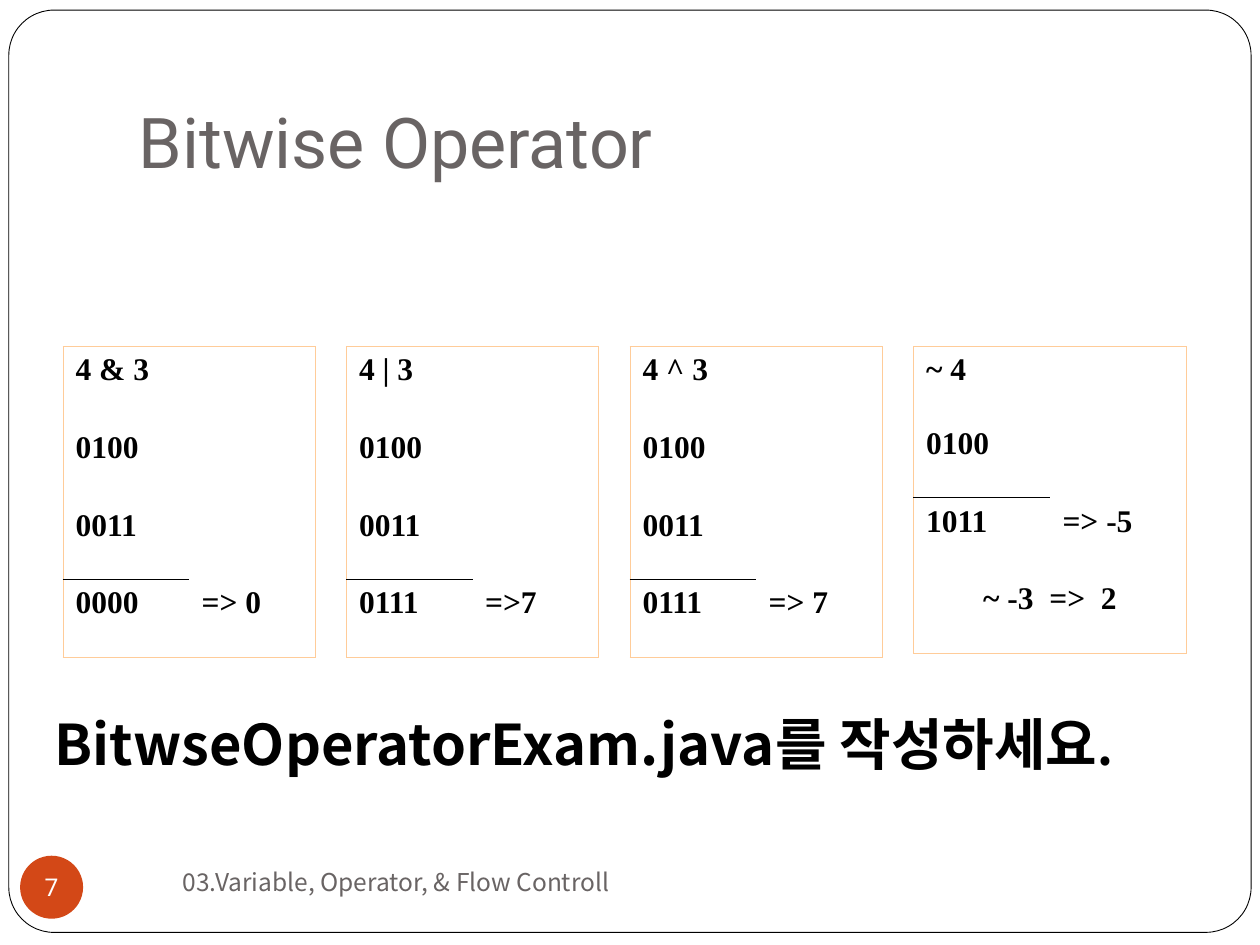
from dataclasses import dataclass

from lxml.etree import SubElement
from pptx import Presentation
from pptx.dml.color import RGBColor
from pptx.enum.shapes import MSO_SHAPE as Shape
from pptx.enum.text import MSO_ANCHOR as Anchor, MSO_AUTO_SIZE as AutoSize, PP_ALIGN as Align
from pptx.oxml import parse_xml
from pptx.oxml.ns import nsdecls, qn
from pptx.util import Inches, Pt


@dataclass(frozen=True)
class Theme:
    paper: str = "FFFFFF"
    ink: str = "000000"
    muted: str = "696464"
    accent: str = "D34817"
    border: str = "FFCC99"
    heading_font: str = "Roboto"
    body_font: str = "Noto Sans CJK KR"
    code_font: str = "Times New Roman"
    title_size: int = 40
    body_size: int = 32
    stop_size: int = 28
    code_size: int = 18
    small_size: int = 14
    thin_line: float = 0.45
    frame_line: float = 0.5


THEME = Theme()
COLUMNS, ROWS = 120, 90
WIDTH, HEIGHT = Inches(10), Inches(7.5)
ROW_HEIGHT = 7.4
OPERATIONS = [
    (24, ROW_HEIGHT, 2, [("4 & 3",), ("0100", ""), ("0011", ""), ("0000", "=> 0")]),
    (24, ROW_HEIGHT, 2, [("4 | 3",), ("0100", ""), ("0011", ""), ("0111", "=>7")]),
    (24, ROW_HEIGHT, 2, [("4 ^ 3",), ("0100", ""), ("0011", ""), ("0111", "=> 7")]),
    (26, 7, 1, [("~ 4",), ("0100", ""), ("1011", "=> -5"), ("~ -3  =>  2",)]),
]


def color(value):
    return RGBColor.from_string(value)


def grid(left, top, width, height):
    column, row = WIDTH / COLUMNS, HEIGHT / ROWS
    return round(left * column), round(top * row), round(width * column), round(height * row)


def place(shape, box):
    shape.left, shape.top, shape.width, shape.height = box


def add_run(paragraph, text, size, font, ink, bold=False):
    run = paragraph.add_run()
    run.text = text
    run.font.size = Pt(size)
    run.font.name = font
    run.font.bold = bold
    run.font.color.rgb = color(ink)
    SubElement(run.font._element, qn("a:ea"), typeface=font)


def set_frame(frame, anchor, margins=(0.1, 0.05, 0.1, 0.05), wrap=True):
    frame.word_wrap = wrap
    frame.auto_size = AutoSize.NONE
    frame.vertical_anchor = anchor
    frame.margin_left, frame.margin_top, frame.margin_right, frame.margin_bottom = map(Inches, margins)
    return frame.paragraphs[0]


def add_page_frame(slide):
    shape = slide.shapes.add_shape(Shape.ROUNDED_RECTANGLE, *grid(0.84, 0.96, 118.32, 87.84))
    shape.adjustments[0] = 0.049
    shape.shadow.inherit = False
    shape.fill.solid()
    shape.fill.fore_color.rgb = color(THEME.paper)
    shape.line.color.rgb = color(THEME.ink)
    shape.line.width = Pt(THEME.frame_line)
    slide.shapes.title.element.addprevious(shape.element)


def add_title(slide, text):
    title = slide.shapes.title
    place(title, grid(12, 3.6, 102, 15))
    paragraph = set_frame(title.text_frame, Anchor.BOTTOM, (0.1, 0.05, 0.1, 0.1))
    paragraph.alignment = Align.LEFT
    add_run(paragraph, text, THEME.title_size, THEME.heading_font, THEME.muted)


def add_task(slide, text, stop):
    body = slide.placeholders[1]
    place(body, grid(4, 67, 114, 16))
    paragraph = set_frame(body.text_frame, Anchor.TOP)
    paragraph.space_before = Pt(0)
    properties = paragraph._p.get_or_add_pPr()
    properties.set("marL", str(Inches(0.3)))
    properties.set("indent", str(Inches(-0.3)))
    SubElement(properties, qn("a:buNone"))
    add_run(paragraph, text, THEME.body_size, THEME.body_font, THEME.ink, True)
    add_run(paragraph, stop, THEME.stop_size, THEME.body_font, THEME.ink, True)


def add_footer(slide, text):
    box = slide.shapes.add_textbox(*grid(12, 81, 52, 6))
    paragraph = set_frame(box.text_frame, Anchor.MIDDLE)
    paragraph.alignment = Align.CENTER
    paragraph.space_before = Pt(8.8)
    add_run(paragraph, text, THEME.small_size, THEME.body_font, THEME.muted)


def add_page_number(slide, number):
    badge = slide.shapes.add_shape(Shape.OVAL, *grid(1.92, 81.5, 6, 6))
    badge.shadow.inherit = False
    badge.fill.solid()
    badge.fill.fore_color.rgb = color(THEME.accent)
    badge.line.fill.background()
    paragraph = set_frame(badge.text_frame, Anchor.MIDDLE, (0, 0, 0, 0), False)
    paragraph.alignment = Align.CENTER
    paragraph.space_before = Pt(8.8)
    add_run(paragraph, number, THEME.small_size, THEME.heading_font, THEME.paper)


def set_borders(cell, borders):
    properties = cell._tc.get_or_add_tcPr()
    for position, side in enumerate("LRTB"):
        ink = borders.get(side)
        fill = f'<a:solidFill><a:srgbClr val="{ink}"/></a:solidFill>' if ink else "<a:noFill/>"
        line = parse_xml(f'<a:ln{side} {nsdecls("a")} w="{Pt(THEME.thin_line)}">{fill}</a:ln{side}>')
        properties.insert(position, line)


def cell_borders(row, column, last_row, rule_row):
    borders = {"L" if column == 0 else "R": THEME.border}
    if row == 0:
        borders["T"] = THEME.border
    if row == last_row:
        borders["B"] = THEME.border
    if column == 0 and row == rule_row:
        borders["B"] = THEME.ink
    if column == 0 and row == rule_row + 1:
        borders["T"] = THEME.ink
    return borders


def add_operation(slide, index, width, first_height, rule_row, lines):
    heights = [first_height] + [ROW_HEIGHT] * (len(lines) - 1)
    box = grid(6 + 27 * index, 33, width, sum(heights))
    table = slide.shapes.add_table(len(lines), 2, *box).table
    table.first_row = table.horz_banding = False
    last_row = len(lines) - 1
    for row, texts in enumerate(lines):
        table.rows[row].height = grid(0, 0, 0, heights[row])[3]
        spanning = len(texts) == 1
        for column in range(2):
            cell = table.cell(row, column)
            cell.fill.background()
            borders = cell_borders(row, column, last_row, rule_row)
            if spanning:
                borders |= {"L": THEME.border, "R": THEME.border}
            set_borders(cell, borders)
        if spanning:
            table.cell(row, 0).merge(table.cell(row, 1))
        for column, text in enumerate(texts):
            if text:
                paragraph = table.cell(row, column).text_frame.paragraphs[0]
                paragraph.space_before = Pt(4.5)
                if spanning and row == last_row:
                    paragraph.alignment = Align.CENTER
                add_run(paragraph, text, THEME.code_size, THEME.code_font, THEME.ink, True)


def main():
    presentation = Presentation()
    presentation.slide_width, presentation.slide_height = WIDTH, HEIGHT
    slide = presentation.slides.add_slide(presentation.slide_layouts[1])
    add_page_frame(slide)
    add_title(slide, "Bitwise Operator")
    add_footer(slide, "03.Variable, Operator, & Flow Controll ")
    add_page_number(slide, "7")
    add_task(slide, "BitwseOperatorExam.java를 작성하세요", ".")
    for index, operation in enumerate(OPERATIONS):
        add_operation(slide, index, *operation)
    presentation.save("out.pptx")


if __name__ == "__main__":
    main()
